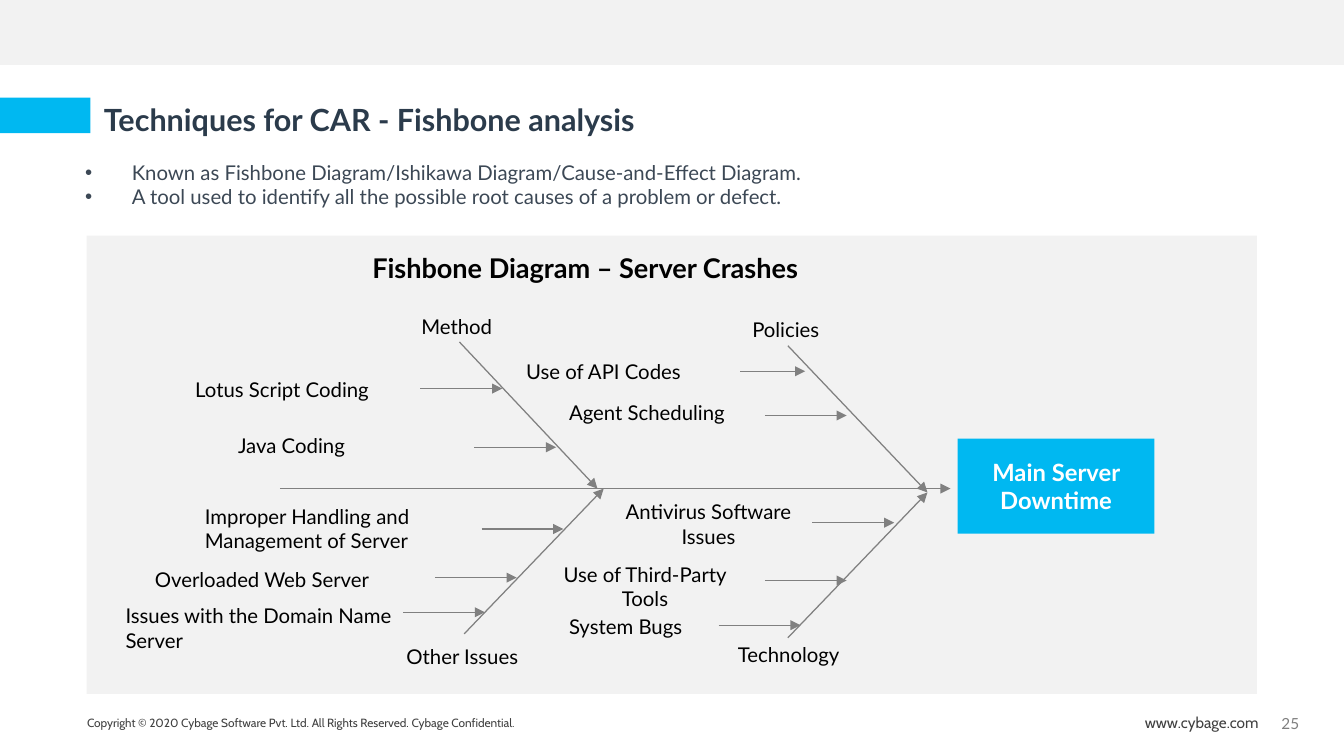
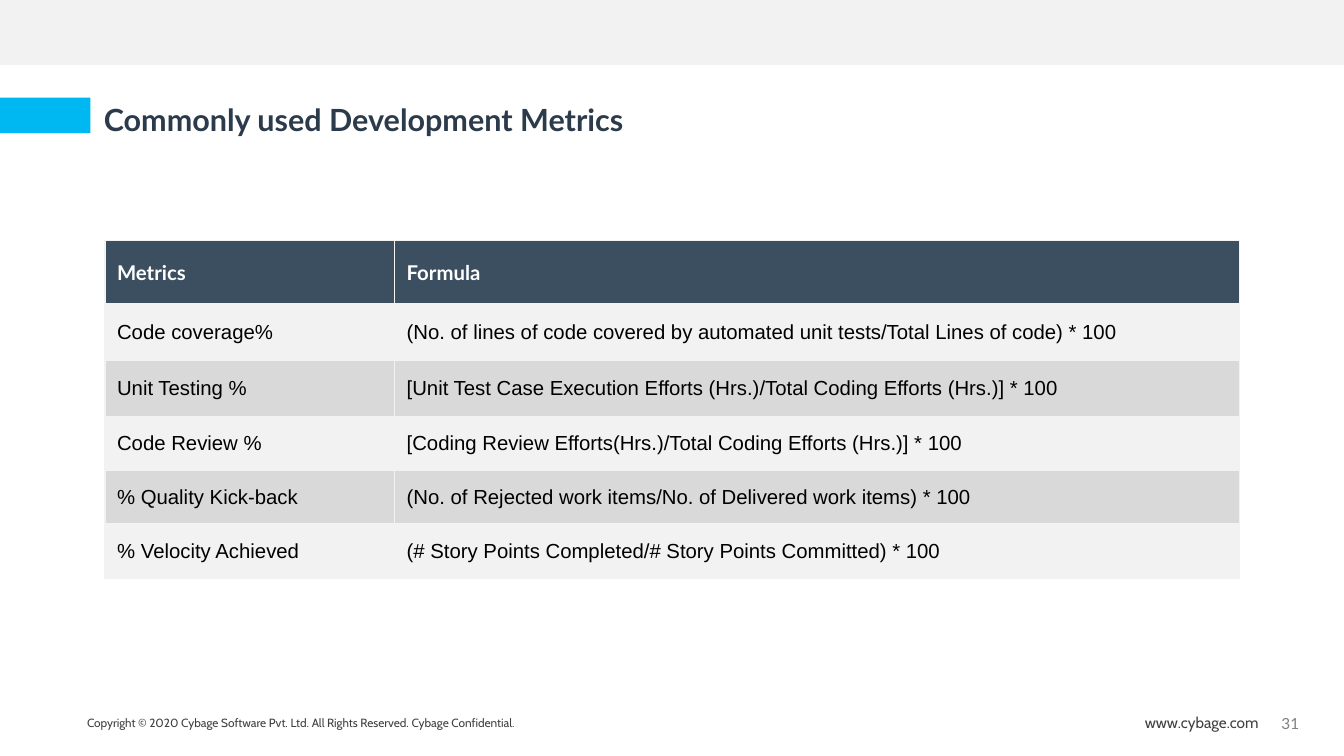
from lxml.etree import SubElement
from pptx import Presentation
from pptx.dml.color import RGBColor
from pptx.enum.shapes import MSO_CONNECTOR as CONN, MSO_SHAPE as SHAPE
from pptx.enum.text import MSO_ANCHOR as ANCHOR, PP_ALIGN as ALIGN
from pptx.oxml.ns import qn
from pptx.util import Cm, Pt

COLORS = {
    "band": "F2F2F2", "accent": "00B8F1", "title": "2B3B4B", "body": "3C4855",
    "footer": "404040", "number": "808080", "line": "808080", "text": "000000",
    "header": "3B4F60", "stripe": "D9D9D9", "white": "FFFFFF",
}
WIDTH, HEIGHT = 27.94, 15.72
COPYRIGHT = "Copyright © 2020 Cybage Software Pvt. Ltd. All Rights Reserved. Cybage Confidential."

BULLETS = [
    "Known as Fishbone Diagram/Ishikawa Diagram/Cause-and-Effect Diagram.",
    "A tool used to identify all the possible root causes of a problem or defect.",
]
BONES = [
    (16.38, 7.19, 19.28, 10.24),
    (16.38, 13.26, 19.28, 10.24),
    (9.65, 13.18, 12.55, 10.16),
    (9.55, 7.11, 12.42, 10.16),
    (5.82, 10.16, 19.76, 10.16),
]
CATEGORIES = [
    ("Method", 8.51, 6.4, 2.29),
    ("Policies", 15.39, 6.48, 2.29),
    ("Other Issues", 8.2, 13.26, 3.48),
    ("Technology", 15.09, 13.23, 3.25),
]
TWIG = 1.7
CAUSES = [
    ("Lotus Script Coding", 3.81, 7.72, 4.93, ALIGN.LEFT, 10.44, 8.08),
    ("Java Coding", 4.7, 8.89, 4.04, ALIGN.LEFT, 11.56, 9.3),
    ("Use of API Codes", 10.69, 7.34, 4.7, ALIGN.LEFT, 16.74, 7.72),
    ("Agent Scheduling", 11.58, 8.2, 4.8, ALIGN.LEFT, 17.6, 8.64),
    ("Improper Handling and Management of Server", 4.01, 10.36, 6.4, ALIGN.LEFT, 11.71, 11),
    ("Overloaded Web Server", 2.97, 11.66, 6.68, ALIGN.LEFT, 10.74, 12.01),
    ("Issues with the Domain Name Server", 2.36, 12.42, 6.12, ALIGN.LEFT, 10.08, 12.73),
    ("Antivirus Software Issues", 12.42, 10.26, 4.62, ALIGN.CENTER, 18.59, 10.87),
    ("Use of Third-Party Tools", 11.1, 11.56, 4.62, ALIGN.CENTER, 17.6, 12.07),
    ("System Bugs", 11.58, 12.65, 4.62, ALIGN.LEFT, 16.64, 13),
]
METRICS = [
    ("Metrics", "Formula"),
    ("Code coverage%",
     "(No. of lines of code covered by automated unit tests/Total Lines of code) * 100"),
    ("Unit Testing %",
     "[Unit Test Case Execution Efforts (Hrs.)/Total Coding Efforts (Hrs.)] * 100"),
    ("Code Review %", "[Coding Review Efforts(Hrs.)/Total Coding Efforts (Hrs.)] * 100"),
    ("% Quality Kick-back", "(No. of Rejected work items/No. of Delivered work items) * 100"),
    ("% Velocity Achieved", "(# Story Points Completed/# Story Points Committed) * 100"),
]
COLUMN_WIDTHS = [6.02, 17.57]
ROW_HEIGHTS = [1.32, 1.17, 1.17, 1.12, 1.12, 1.12]


def rgb(name):
    return RGBColor.from_string(COLORS[name])


def add_run(p, text, size, color, bold=False, font="Lato"):
    r = p.add_run()
    r.text = text
    r.font.name = font
    r.font.size = Pt(size)
    r.font.bold = bold
    r.font.color.rgb = rgb(color)


def add_box(shapes, x, y, w, h, inset=0.25):
    tf = shapes.add_textbox(Cm(x), Cm(y), Cm(w), Cm(h)).text_frame
    tf.word_wrap = True
    tf.margin_left = tf.margin_right = Cm(inset)
    return tf


def add_text(shapes, text, x, y, w, h, size=12, color="text", bold=False,
             font="Lato", align=ALIGN.LEFT, inset=0.25):
    p = add_box(shapes, x, y, w, h, inset).paragraphs[0]
    p.alignment = align
    add_run(p, text, size, color, bold, font)


def add_rect(shapes, x, y, w, h, color):
    s = shapes.add_shape(SHAPE.RECTANGLE, Cm(x), Cm(y), Cm(w), Cm(h))
    s.shadow.inherit = False
    s.fill.solid()
    s.fill.fore_color.rgb = rgb(color)
    s.line.fill.background()
    return s


def add_arrow(shapes, x1, y1, x2, y2):
    s = shapes.add_connector(CONN.STRAIGHT, Cm(x1), Cm(y1), Cm(x2), Cm(y2))
    s.line.color.rgb = rgb("line")
    s.line.width = Pt(0.75)
    SubElement(s.line._get_or_add_ln(), qn("a:tailEnd"), type="triangle")
    SubElement(s._element.spPr, qn("a:effectLst"))


def add_bullets(shapes, lines, x, y, w, h):
    tf = add_box(shapes, x, y, w, h)
    for i, line in enumerate(lines):
        p = tf.paragraphs[0] if i == 0 else tf.add_paragraph()
        pPr = p._p.get_or_add_pPr()
        pPr.set("marL", str(Cm(0.97)))
        pPr.set("indent", str(-Cm(0.97)))
        SubElement(pPr, qn("a:buFont"), typeface="Arial")
        SubElement(pPr, qn("a:buChar"), char="•")
        add_run(p, line, 12, "body")


def add_borders(cell, color):
    tcPr = cell._tc.get_or_add_tcPr()
    for side in ("lnL", "lnR", "lnT", "lnB"):
        ln = SubElement(tcPr, qn(f"a:{side}"), w=str(Pt(1)))
        fill = SubElement(ln, qn("a:solidFill"))
        SubElement(fill, qn("a:srgbClr"), val=COLORS[color])


def add_metrics_table(shapes, x, y):
    table = shapes.add_table(
        len(METRICS), len(COLUMN_WIDTHS), Cm(x), Cm(y),
        Cm(sum(COLUMN_WIDTHS)), Cm(sum(ROW_HEIGHTS))).table
    for column, width in zip(table.columns, COLUMN_WIDTHS):
        column.width = Cm(width)
    for i, (row, height, texts) in enumerate(zip(table.rows, ROW_HEIGHTS, METRICS)):
        row.height = Cm(height)
        fill = "header" if i == 0 else "band" if i % 2 else "stripe"
        for cell, text in zip(row.cells, texts):
            add_borders(cell, "band")
            cell.fill.solid()
            cell.fill.fore_color.rgb = rgb(fill)
            cell.vertical_anchor = ANCHOR.MIDDLE
            p = cell.text_frame.paragraphs[0]
            if i == 0:
                add_run(p, text, 12, "white", bold=True)
            else:
                add_run(p, text, 12, "text", font="Arial")


def add_fishbone(shapes):
    add_rect(shapes, 1.8, 4.9, 24.33, 9.53, "band")
    add_text(shapes, "Fishbone Diagram – Server Crashes", 7.49, 5.11, 15.14, 0.89,
             size=16, bold=True)
    for bone in BONES:
        add_arrow(shapes, *bone)
    effect = add_rect(shapes, 19.91, 9.12, 4.09, 1.98, "accent")
    tf = effect.text_frame
    tf.word_wrap = True
    tf.vertical_anchor = ANCHOR.MIDDLE
    p = tf.paragraphs[0]
    p.alignment = ALIGN.CENTER
    add_run(p, "Main Server Downtime", 14, "white", bold=True)
    for text, x, y, w in CATEGORIES:
        add_text(shapes, text, x, y, w, 0.75)
    for text, x, y, w, align, tip_x, tip_y in CAUSES:
        height = 1.25 if len(text) > 22 else 0.75
        add_text(shapes, text, x, y, w, height, align=align)
        length = 1.35 if text == "Use of API Codes" else TWIG
        add_arrow(shapes, tip_x - length, tip_y, tip_x, tip_y)


def add_slide(prs, title, number):
    shapes = prs.slides.add_slide(prs.slide_layouts[6]).shapes
    add_rect(shapes, 0, 0, WIDTH, 1.35, "band")
    add_text(shapes, COPYRIGHT, 1.53, 14.76, 13.97, 0.56, size=7, color="footer",
             font="Cabin", inset=0.28)
    add_text(shapes, "www.cybage.com", 23.52, 14.71, 3.3, 0.66, size=9, color="footer",
             font="Cabin", inset=0.28)
    add_text(shapes, number, 26.19, 14.73, 1.27, 0.64, size=9, color="number",
             align=ALIGN.CENTER)
    add_rect(shapes, 0, 2.03, 1.88, 0.74, "accent")
    add_text(shapes, title, 1.88, 1.98, 25.07, 1.27, size=18, color="title", bold=True,
             inset=0.28)
    return shapes


def main():
    prs = Presentation()
    prs.slide_width, prs.slide_height = Cm(WIDTH), Cm(HEIGHT)

    shapes = add_slide(prs, "Techniques for CAR - Fishbone analysis", "25")
    add_bullets(shapes, BULLETS, 1.52, 3.2, 16.5, 1.27)
    add_fishbone(shapes.add_group_shape().shapes)

    shapes = add_slide(prs, "Commonly used Development Metrics", "31")
    add_metrics_table(shapes, 2.18, 5)

    prs.save("out.pptx")


if __name__ == "__main__":
    main()
